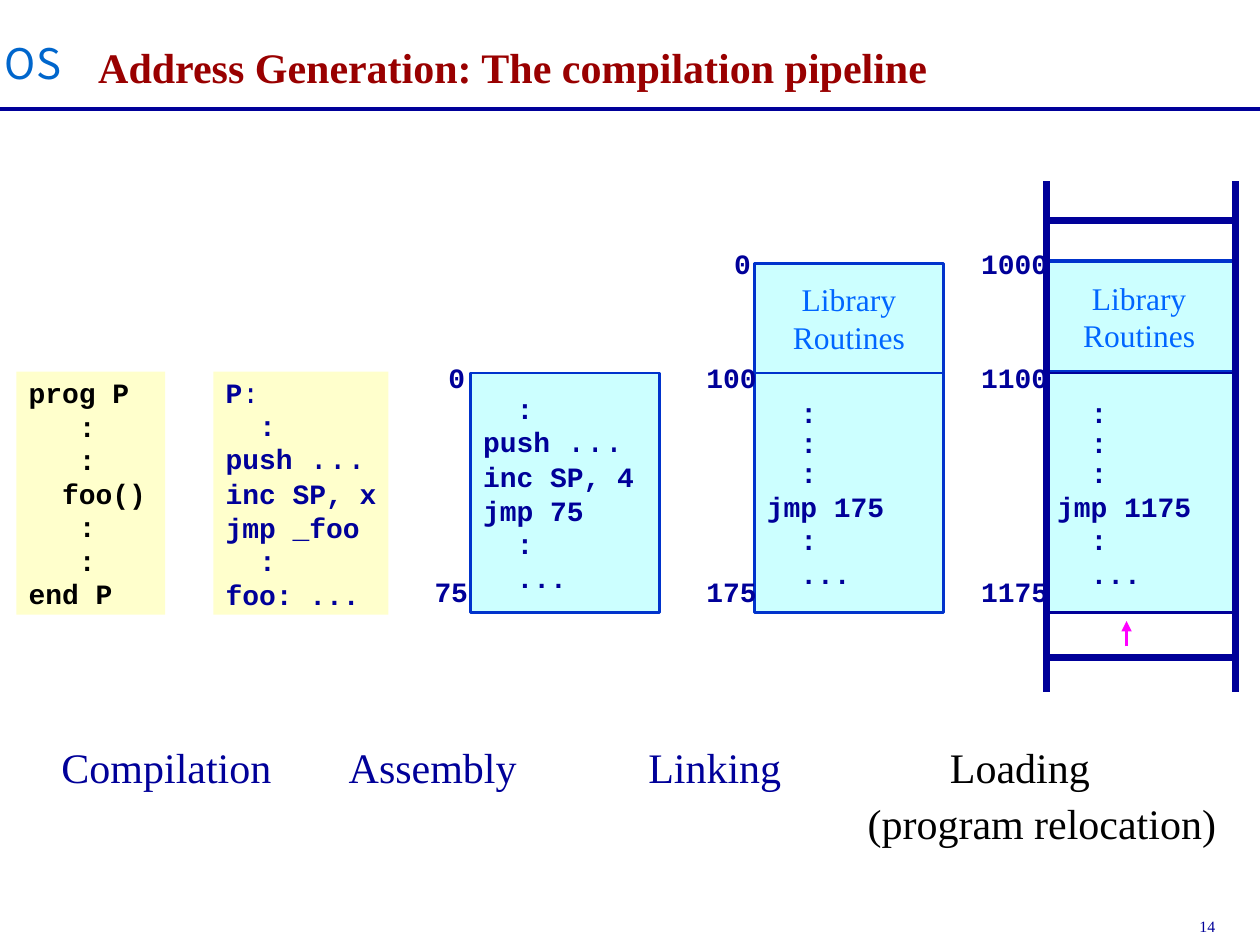
"""Build the slide on address generation in the compilation pipeline."""
from dataclasses import dataclass
from typing import Any, Optional

from lxml import etree
from pptx import Presentation
from pptx.dml.color import RGBColor
from pptx.enum.shapes import MSO_CONNECTOR, MSO_SHAPE
from pptx.enum.text import MSO_ANCHOR, PP_ALIGN
from pptx.oxml.ns import qn
from pptx.util import Cm, Pt

RECT = MSO_SHAPE.RECTANGLE
STRAIGHT = MSO_CONNECTOR.STRAIGHT
TOP, MIDDLE, BOTTOM = MSO_ANCHOR.TOP, MSO_ANCHOR.MIDDLE, MSO_ANCHOR.BOTTOM
LEFT, CENTER = PP_ALIGN.LEFT, PP_ALIGN.CENTER
SERIF, MONO, SANS = "Times New Roman", "Courier New", "Noto Sans CJK SC"
COLORS = {
    "navy": "000099", "black": "000000", "white": "FFFFFF", "red": "990000",
    "cream": "FFFFCC", "cyan": "CCFFFF", "edge": "0033CC", "blue": "0066FF",
    "badge": "0066CC", "pink": "FF00FF",
}


@dataclass
class Run:
    text: str
    size: float = 16
    bold: bool = True


@dataclass
class Line:
    runs: list[Run]
    space: Optional[float] = None


@dataclass
class Style:
    font: str = MONO
    color: str = "navy"
    align: Any = LEFT
    anchor: Any = MIDDLE
    wrap: bool = False


@dataclass
class Box:
    left: float
    top: float
    width: float
    height: float
    fill: str = "cyan"
    edge: Optional[str] = "edge"
    weight: float = 1.5


@dataclass
class Label:
    text: str
    left: float
    top: float
    width: float
    height: float
    style: Style
    size: float = 24
    bold: bool = False
    pad: float = 0.25


def paint(name: str) -> RGBColor:
    return RGBColor.from_string(COLORS[name])


def code(*rows: str, tight: tuple[int, ...] = ()) -> list[Line]:
    return [Line([Run(row)], 0.9 if num in tight else None)
            for num, row in enumerate(rows)]


def write(frame: Any, lines: list[Line], style: Style) -> None:
    frame.word_wrap = style.wrap
    frame.vertical_anchor = style.anchor
    for num, line in enumerate(lines):
        para = frame.add_paragraph() if num else frame.paragraphs[0]
        para.alignment = style.align
        if line.space:
            para.line_spacing = line.space
        for part in line.runs:
            run = para.add_run()
            run.text = part.text
            run.font.name = style.font
            run.font.size = Pt(part.size)
            run.font.bold = part.bold
            run.font.color.rgb = paint(style.color)


def add_box(slide: Any, box: Box, lines: list[Line], style: Style) -> None:
    shape = slide.shapes.add_shape(
        RECT, Cm(box.left), Cm(box.top), Cm(box.width), Cm(box.height))
    shape.shadow.inherit = False
    shape.fill.solid()
    shape.fill.fore_color.rgb = paint(box.fill)
    if box.edge:
        shape.line.color.rgb = paint(box.edge)
        shape.line.width = Pt(box.weight)
    else:
        shape.line.fill.background()
    write(shape.text_frame, lines, style)


def add_label(slide: Any, label: Label) -> None:
    shape = slide.shapes.add_textbox(
        Cm(label.left), Cm(label.top), Cm(label.width), Cm(label.height))
    frame = shape.text_frame
    frame.margin_left, frame.margin_right = Cm(label.pad), 0
    write(frame, [Line([Run(label.text, label.size, label.bold)])], label.style)


def add_rule(slide: Any, start: tuple[float, float], end: tuple[float, float],
             weight: float = 4, color: str = "navy", arrow: bool = False) -> None:
    rule = slide.shapes.add_connector(
        STRAIGHT, Cm(start[0]), Cm(start[1]), Cm(end[0]), Cm(end[1]))
    rule.line.color.rgb = paint(color)
    rule.line.width = Pt(weight)
    if arrow:
        etree.SubElement(rule.line._get_or_add_ln(), qn("a:tailEnd"), type="triangle")
    etree.SubElement(rule._element.spPr, qn("a:effectLst"))


def main() -> None:
    deck = Presentation()
    deck.slide_width, deck.slide_height = Cm(25.4), Cm(19.05)
    slide = deck.slides.add_slide(deck.slide_layouts[6])

    plain = Style(SERIF, anchor=TOP)
    dark = Style(SERIF, "black", anchor=TOP)
    mono = Style()
    mark = Style(anchor=TOP)
    title = Style(SERIF, "red", anchor=BOTTOM, wrap=True)
    badge = Style(SANS, "badge", anchor=TOP)
    center = Style(SERIF, "blue", CENTER)

    add_label(slide, Label("14", 23.93, 18.36, 1.4, 0.64, plain, 9))
    add_rule(slide, (0, 2.19), (25.4, 2.19), 2.25)
    add_label(slide, Label("OS", 0.1, 0.64, 1.4, 0.69, badge, pad=0))
    add_label(slide, Label("Address Generation: The compilation pipeline",
                           1.73, 0.29, 22.1, 1.68, title, bold=True))

    add_box(slide, Box(21.08, 4.47, 3.81, 8.84, "white", "navy", 1), [], mono)
    add_rule(slide, (21.06, 13.26), (24.92, 13.26))
    add_rule(slide, (21.11, 4.45), (24.87, 4.45))

    push = Line([Run("push "), Run("...", 18, False)], 0.9)
    source = code("prog P", "   :", "   :", "  foo()", "   :", "   :", "end P")
    listing = [Line([Run("P"), Run(":", bold=False)]), *code("  :"), push,
               *code("inc SP, x", "jmp _foo", "  :", "foo: ...")]
    module = [*code("  :"), push, *code("inc SP, 4", "jmp 75", "  :", "  ...")]
    add_box(slide, Box(0.33, 7.49, 3, 4.9, "cream", None), source, Style(color="black"))
    add_box(slide, Box(4.3, 7.49, 3.53, 4.9, "cream", None), listing, mono)
    add_box(slide, Box(9.49, 7.52, 3.81, 4.83), module, mono)

    routines = [Line([Run(word, 18, False)]) for word in ("Library", "Routines")]
    add_box(slide, Box(21.06, 5.26, 3.81, 2.24, weight=2), routines, center)
    add_box(slide, Box(15.21, 5.31, 3.81, 2.21), routines, center)
    for left, edge, jump in ((21.06, "navy", "jmp 1175"), (15.21, "edge", "jmp 175")):
        lines = code("  :", "  :", "  :", jump, "  :", "  ...", tight=(1, 2))
        add_box(slide, Box(left, 7.52, 3.81, 4.83, edge=edge), lines, mono)

    high, mid, low = 4.85, 7.14, 11.45
    for text, left, top in (
            ("0", 8.79, mid), ("75", 8.51, low),
            ("0", 14.55, high), ("100", 13.99, mid), ("175", 13.99, low),
            ("1000", 19.53, high), ("1100", 19.53, mid), ("1175", 19.53, low)):
        width = 0.5 + 0.34 * len(text)
        add_label(slide, Label(text, left, top, width, 0.91, mark, 16, True))

    for text, left, top, width, style in (
            ("Compilation", 0.99, 14.83, 4.72, plain),
            ("Assembly", 6.78, 14.83, 3.89, plain),
            ("Linking", 12.82, 14.83, 3.18, plain),
            ("Loading", 18.9, 14.83, 3.33, dark),
            ("(program relocation)", 17.24, 15.95, 7.52, dark)):
        add_label(slide, Label(text, left, top, width, 1.27, style))

    for left in (24.91, 21.1):
        add_rule(slide, (left, 13.94), (left, 3.65))
    add_rule(slide, (22.71, 13.03), (22.71, 12.52), 1.5, "pink", True)
    deck.save("out.pptx")


if __name__ == "__main__":
    main()
